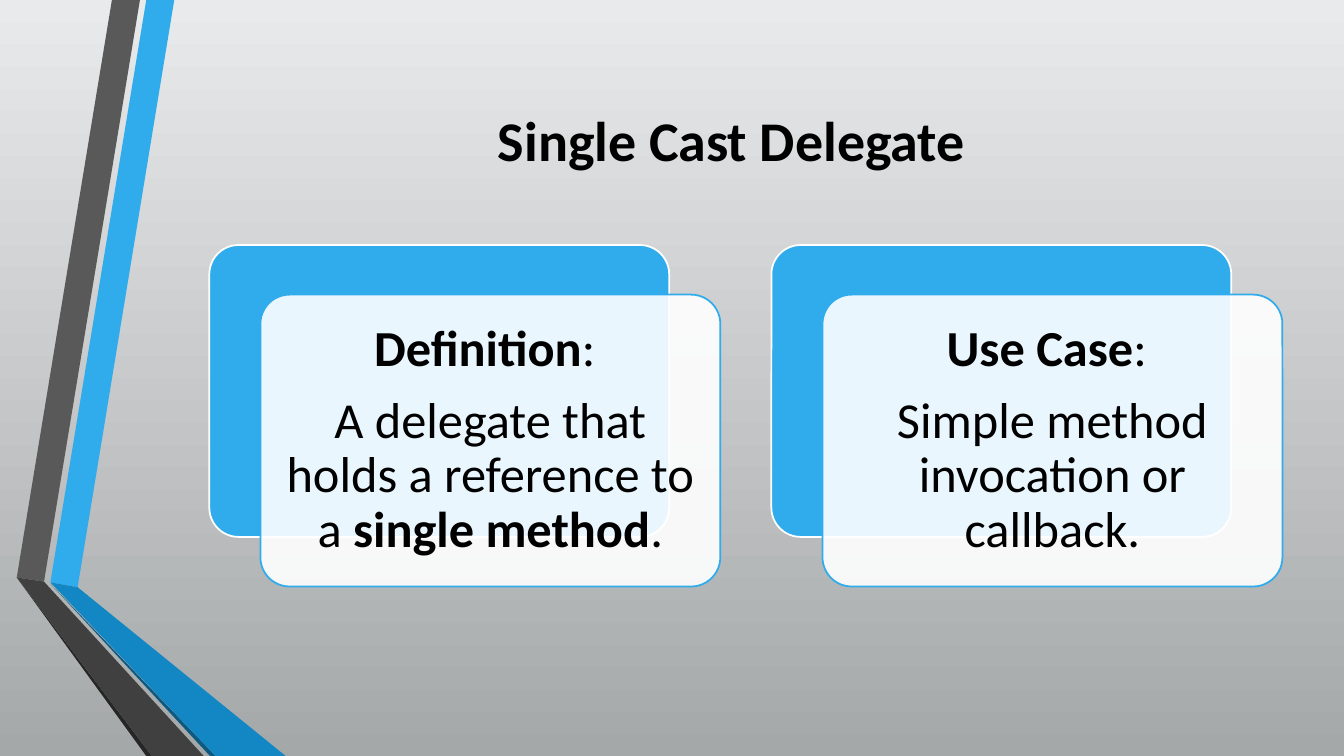
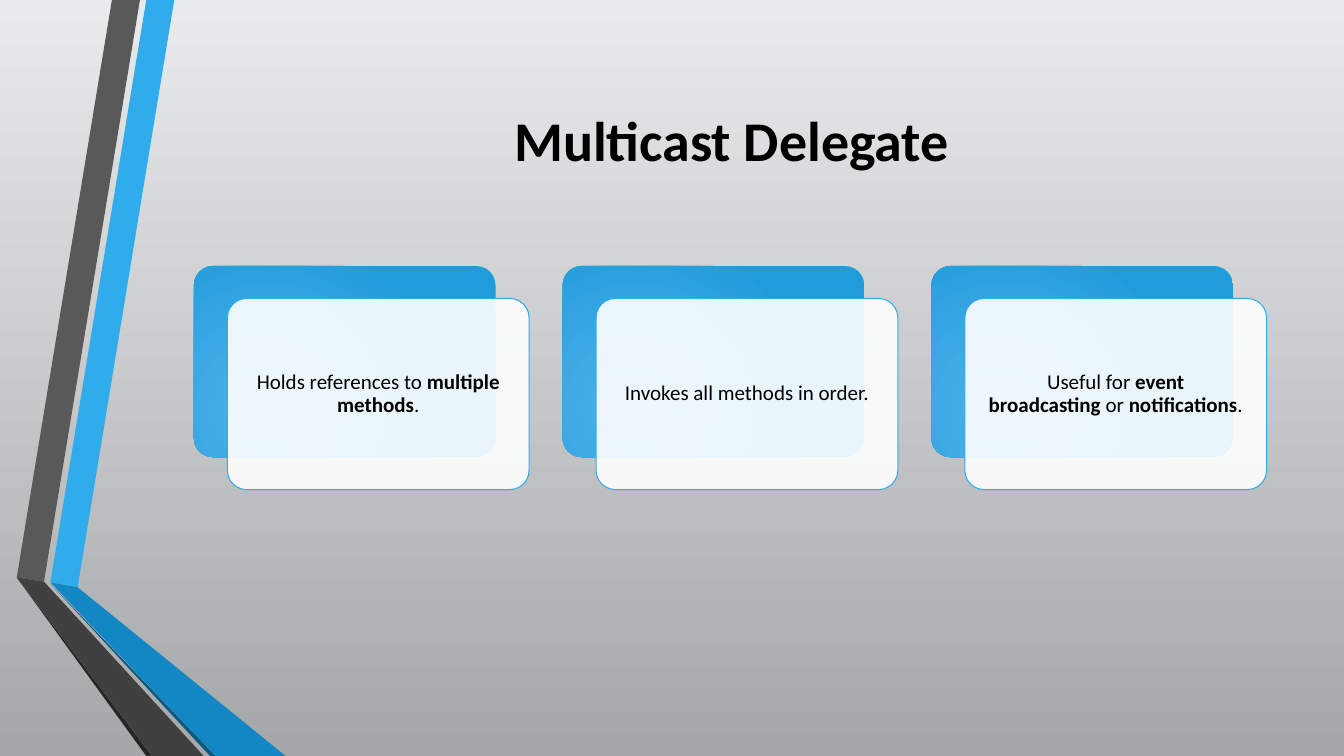
from lxml import etree
from pptx import Presentation
from pptx.dml.color import RGBColor
from pptx.enum.shapes import MSO_SHAPE
from pptx.enum.text import MSO_ANCHOR, MSO_AUTO_SIZE, PP_ALIGN
from pptx.oxml.ns import qn
from pptx.util import Pt

ROUNDED = MSO_SHAPE.ROUNDED_RECTANGLE
MIDDLE = MSO_ANCHOR.MIDDLE
NO_FIT = MSO_AUTO_SIZE.NONE
CENTER = PP_ALIGN.CENTER

FONT = "Calibri"
HARD_SPACE = chr(160)
BLACK, WHITE, BLUE = "000000", "FFFFFF", "30ACEC"
BACKGROUND = ("E9EAEB", "A5A8A9")
CARD_GRADIENT = ("51B3ED", "219CDB")
TITLE_BOX = (139, 54, 767, 138)
TITLE_ONLY = 5

# Folded bands at the left edge, from back to front
BANDS = [
    (BLUE, [(36, 416), (55.5, 419.5), (124.5, 0), (104.5, 0)]),
    ("595959", [(100, 0), (80, 0), (12, 412.5), (31.5, 415.5)]),
    ("262626", [(12, 412.5), (104.5, 540), (108.5, 540)]),
    ("0C5A82", [(36, 417), (150, 540), (154, 540)]),
    ("1287C3", [(36, 416), (154, 540), (204, 540), (55.5, 419.5)]),
    ("404040", [(145.5, 540), (31.5, 415.5), (12, 412.5), (108.5, 540)]),
]


def color(value):
    return RGBColor.from_string(value)


def set_gradient(fill, ends):
    fill.gradient()
    for stop, value in zip(fill.gradient_stops, ends):
        stop.color.rgb = color(value)


def write(frame, paragraphs, size, bold=False, line_spacing=None, space_after=0):
    """Fill a frame: ** switches bold on and off, ~ is a hard space."""
    for index, text in enumerate(paragraphs):
        para = frame.paragraphs[0] if index == 0 else frame.add_paragraph()
        para.alignment = CENTER
        para.line_spacing = line_spacing
        para.space_after = Pt(space_after)
        for part, piece in enumerate(text.replace("~", HARD_SPACE).split("**")):
            if piece:
                span = para.add_run()
                span.text = piece
                span.font.name = FONT
                span.font.size = Pt(size)
                span.font.bold = bold or part % 2 == 1
                span.font.color.rgb = color(BLACK)


class Deck:
    def __init__(self):
        self.deck = Presentation()
        self.deck.slide_width, self.deck.slide_height = Pt(960), Pt(540)
        self.layout = self.deck.slide_layouts[TITLE_ONLY]
        self.page = None
        self.style_layout()

    def style_layout(self):
        # Background
        fill = self.layout.background.fill
        set_gradient(fill, BACKGROUND)
        fill.gradient_angle = 270
        # Title place; the deep bottom inset lifts the line above the middle
        title = self.layout.placeholders[0]
        title.left, title.top, title.width, title.height = map(Pt, TITLE_BOX)
        frame = title.text_frame
        frame.vertical_anchor = MIDDLE
        frame.auto_size = NO_FIT
        frame.margin_bottom = Pt(51)

    def add_page(self, title):
        first = self.page is None
        self.page = self.deck.slides.add_slide(self.layout)
        if first:
            self.add_bands()
        write(self.page.shapes.title.text_frame, [title], size=40, bold=True)

    def add_bands(self):
        """Draw the bands and hand them over to the shared layout."""
        for position, (value, points) in enumerate(BANDS):
            corners = [(Pt(x), Pt(y)) for x, y in points]
            builder = self.page.shapes.build_freeform(*corners[0])
            builder.add_line_segments(corners[1:], close=True)
            band = builder.convert_to_shape()
            band.shadow.inherit = False
            band.fill.solid()
            band.fill.fore_color.rgb = color(value)
            band.line.fill.background()
            self.layout.shapes.element.insert(2 + position, band.element)

    def add_panel(self, left, top, width, height, line=None, line_width=1):
        panel = self.page.shapes.add_shape(
            ROUNDED, Pt(left), Pt(top), Pt(width), Pt(height))
        panel.adjustments[0] = 0.1
        panel.shadow.inherit = False
        if line:
            panel.line.color.rgb = color(line)
            panel.line.width = Pt(line_width)
        else:
            panel.line.fill.background()
        return panel

    def fill_panel(self, panel, value, opacity=100):
        panel.fill.solid()
        panel.fill.fore_color.rgb = color(value)
        if opacity < 100:
            tone = panel.element.spPr.find(".//" + qn("a:srgbClr"))
            etree.SubElement(tone, qn("a:alpha"), val=str(opacity * 1000))

    def fill_radial(self, panel, ends):
        set_gradient(panel.fill, ends)
        gradient = panel.element.spPr.find(qn("a:gradFill"))
        gradient.remove(gradient.find(qn("a:lin")))
        circle = etree.SubElement(gradient, qn("a:path"), path="circle")
        etree.SubElement(circle, qn("a:fillToRect"),
                         l="50000", t="100000", r="100000", b="50000")

    def add_cards(self, cards, left, top, width, height, inset, size,
                  line_width, radial=False):
        """Row of white cards, each shifted over a blue one."""
        shift_x, shift_y = width / 9, height * 0.17
        for index, paragraphs in enumerate(cards):
            x = left + index * (width + 2 * shift_x)
            # Blue back card
            back = self.add_panel(x, top, width, height,
                                  None if radial else WHITE, line_width)
            if radial:
                self.fill_radial(back, CARD_GRADIENT)
            else:
                self.fill_panel(back, BLUE)
            # White front card with the text
            front = self.add_panel(x + shift_x, top + shift_y, width, height,
                                   BLUE, line_width)
            self.fill_panel(front, WHITE, opacity=90)
            frame = front.text_frame
            frame.word_wrap = True
            frame.vertical_anchor = MIDDLE
            frame.margin_left = frame.margin_right = Pt(inset)
            frame.margin_top = frame.margin_bottom = Pt(inset)
            write(frame, paragraphs, size=size, line_spacing=0.9,
                  space_after=size * 0.35)


def main():
    slides = Deck()

    slides.add_page("Single Cast Delegate")
    slides.add_cards(
        [["**Definition**: ",
          "A delegate that holds a reference to a~**single method**."],
         ["**Use Case**: ", "Simple method invocation or callback."]],
        left=149.5, top=175, width=328.5, height=208.5, inset=11, size=36,
        line_width=1.25)

    slides.add_page("Multicast Delegate")
    slides.add_cards(
        [["Holds references to~**multiple methods**."],
         ["Invokes all methods in order."],
         ["Useful for~**event broadcasting**~or~**notifications**."]],
        left=138.5, top=190, width=215.5, height=136.5, inset=4.5, size=15,
        line_width=0.75, radial=True)

    slides.deck.save("out.pptx")


if __name__ == "__main__":
    main()
